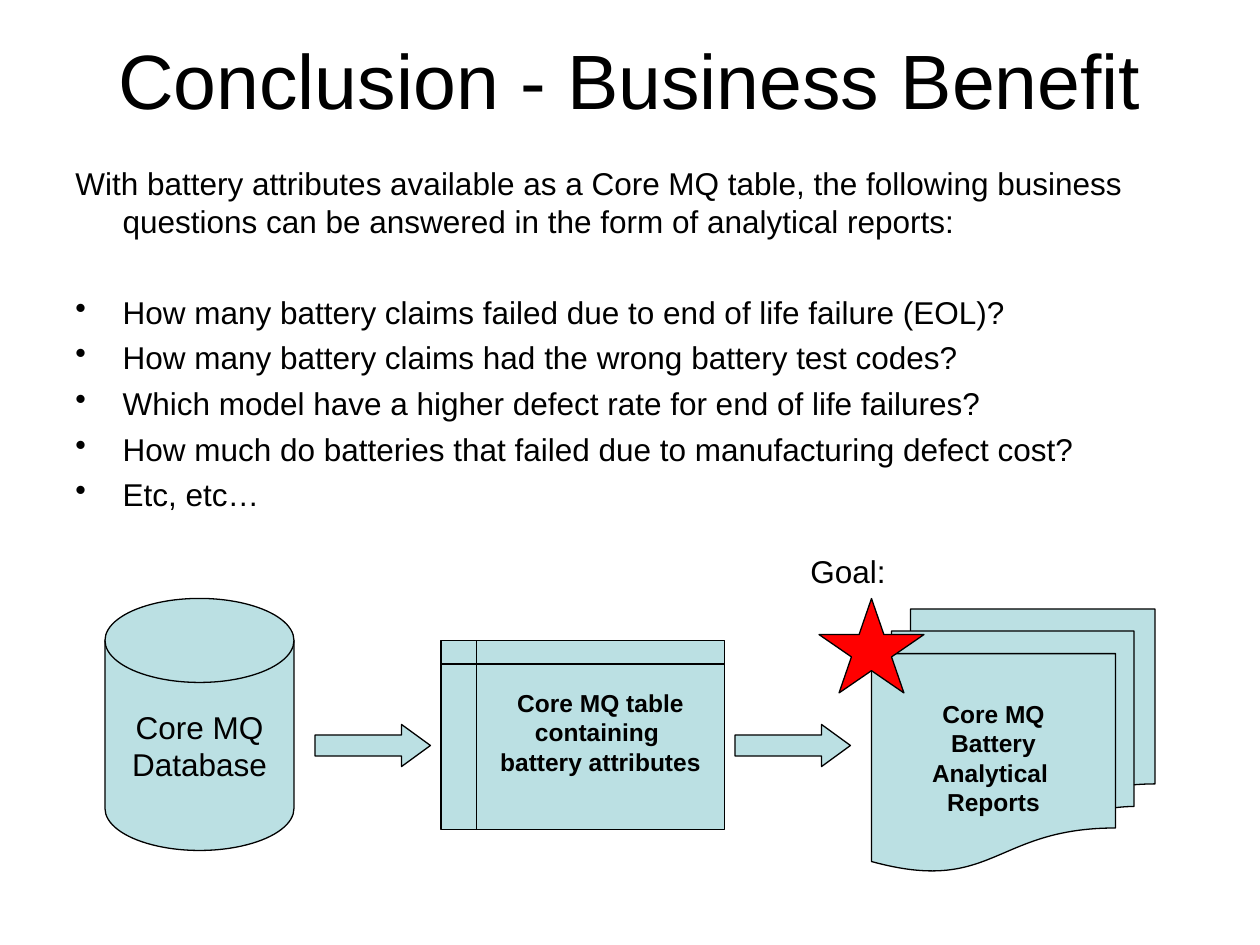
"""Build the business benefit slide with its three-step data flow."""
from dataclasses import dataclass

import pptx
import pptx.dml.color
import pptx.enum.shapes
import pptx.enum.text
import pptx.oxml.ns
import pptx.shapes.autoshape
import pptx.slide
import pptx.text.text
import pptx.util
from lxml import etree

Pt = pptx.util.Pt
Kind = pptx.enum.shapes.MSO_SHAPE
Align = pptx.enum.text.PP_ALIGN
Anchor = pptx.enum.text.MSO_ANCHOR
BLUE, RED, BLACK = "BBE0E3", "FF0000", "000000"
INTRO = ("With battery attributes available as a Core MQ table, the following "
         "business questions can be answered in the form of analytical reports:")
ASKS = (
    "How many battery claims failed due to end of life failure (EOL)?",
    "How many battery claims had the wrong battery test codes?",
    "Which model have a higher defect rate for end of life failures?",
    "How much do batteries that failed due to manufacturing defect cost?",
    "Etc, etc…",
)


@dataclass
class Node:
    kind: Kind
    box: tuple[float, float, float, float]
    lines: tuple[str, ...] = ()
    size: float = 14
    bold: bool = True
    fill: str = BLUE
    foot: float = 3.6
    bends: tuple[float, ...] = ()


NODES = (
    Node(Kind.FLOWCHART_MULTIDOCUMENT, (498, 348, 162, 150),
         ("Core MQ", "Battery", "Analytical ", "Reports")),
    Node(Kind.FLOWCHART_MAGNETIC_DISK, (60, 342, 108, 144),
         ("Core MQ", "Database"), size=18, bold=False),
    Node(Kind.FLOWCHART_INTERNAL_STORAGE, (252, 366, 162, 108),
         ("Core MQ table", "containing ", "battery attributes"), foot=20.4),
    Node(Kind.RIGHT_ARROW, (180, 414, 66, 24), bends=(0.5, 0.687)),
    Node(Kind.RIGHT_ARROW, (420, 414, 66, 24), bends=(0.5, 0.687)),
    Node(Kind.STAR_5_POINT, (468, 342, 60, 54), fill=RED),
)


def color(code: str) -> pptx.dml.color.RGBColor:
    return pptx.dml.color.RGBColor.from_string(code)


def write(frame: pptx.text.text.TextFrame, text: str, *, size: float = 18,
          bold: bool = False, align: Align = Align.LEFT, gap: float = 0,
          hang: float = 0, dot: bool = False) -> None:
    para = frame.paragraphs[0]
    if para.runs:
        para = frame.add_paragraph()
    props = para._p.get_or_add_pPr()
    if hang:
        props.set("marL", str(Pt(hang)))
        props.set("indent", str(-Pt(hang)))
    if dot:
        mark = etree.SubElement(props, pptx.oxml.ns.qn("a:buChar"))
        mark.set("char", "•")
    para.alignment = align
    para.space_before = Pt(gap)
    run = para.add_run()
    run.text = text
    run.font.name = "Arial"
    run.font.size = Pt(size)
    run.font.bold = bold
    run.font.color.rgb = color(BLACK)


def add_text(slide: pptx.slide.Slide, *box: float) -> pptx.text.text.TextFrame:
    frame = slide.shapes.add_textbox(*map(Pt, box)).text_frame
    frame.word_wrap = True
    return frame


def draw(slide: pptx.slide.Slide, node: Node) -> pptx.shapes.autoshape.Shape:
    shape = slide.shapes.add_shape(node.kind, *map(Pt, node.box))
    shape.shadow.inherit = False
    shape.fill.solid()
    shape.fill.fore_color.rgb = color(node.fill)
    shape.line.color.rgb = color(BLACK)
    shape.line.width = Pt(0.75)
    for spot, bend in enumerate(node.bends):
        shape.adjustments[spot] = bend
    frame = shape.text_frame
    frame.word_wrap = False
    frame.vertical_anchor = Anchor.MIDDLE
    frame.margin_bottom = Pt(node.foot)
    for line in node.lines:
        write(frame, line, size=node.size, bold=node.bold, align=Align.CENTER)
    return shape


def main() -> None:
    deck = pptx.Presentation()
    deck.slide_width, deck.slide_height = Pt(720), Pt(540)
    slide = deck.slides.add_slide(deck.slide_layouts[5])

    title = slide.shapes.title
    title.left, title.top, title.width, title.height = map(Pt, (36, 0, 648, 90))
    title.text_frame.auto_size = pptx.enum.text.MSO_AUTO_SIZE.NONE
    title.text_frame.vertical_anchor = Anchor.MIDDLE
    write(title.text_frame, "Conclusion - Business Benefit", size=44,
          align=Align.CENTER)

    body = add_text(slide, 36, 90, 648, 356.4)
    write(body, INTRO, hang=27)
    for spot, ask in enumerate(ASKS):
        write(body, ask, gap=4.5 if spot else 30.5, hang=27, dot=True)

    for node in NODES:
        draw(slide, node)
    write(add_text(slide, 456, 312, 66, 28.8), "Goal:")
    deck.save("out.pptx")


if __name__ == "__main__":
    main()
